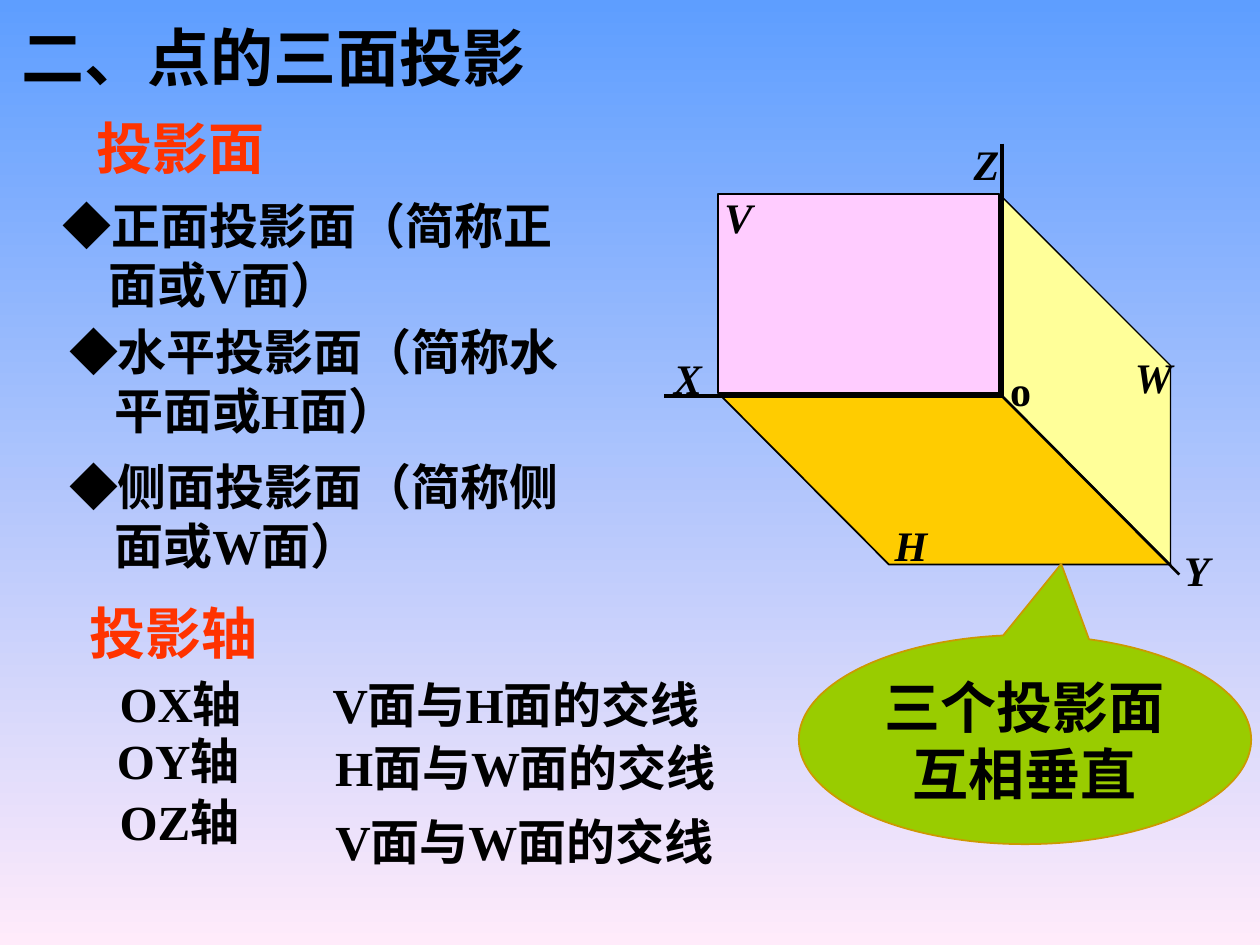
from lxml.etree import SubElement
from pptx import Presentation
from pptx.dml.color import RGBColor
from pptx.enum.shapes import MSO_CONNECTOR, MSO_SHAPE
from pptx.enum.text import MSO_ANCHOR, MSO_AUTO_SIZE, PP_ALIGN
from pptx.oxml.ns import qn
from pptx.util import Inches, Pt

FONT = "Times New Roman"
BLACK, RED = "000000", "FF3300"
LEFT, CENTER = PP_ALIGN.LEFT, PP_ALIGN.CENTER

TITLE = ("二、点的三面投影", (0.07, 0.1, 6.19, 0.7))
HEADINGS = [("投影面", (0.67, 0.85, 2.57, 0.64)),
            ("投影轴", (0.61, 4.7, 1.53, 0.64))]
PLANES = [(("◆正面投影面（简称正", "面或V面）"), (0.4, 1.5)),
          (("◆水平投影面（简称水", "平面或H面）"), (0.45, 2.5)),
          (("◆侧面投影面（简称侧", "面或W面）"), (0.45, 3.57))]
HANG = 0.36
AXES = [("OX轴", (0.85, 5.29)), ("OY轴", (0.83, 5.75)), ("OZ轴", (0.85, 6.23))]
MEETINGS = [("V面与H面的交线", (2.4, 5.3, 3.39)),
            ("H面与W面的交线", (2.42, 5.8, 3.5)),
            ("V面与W面的交线", (2.42, 6.39, 3.48))]
CALLOUT = ("三个投影面互相垂直", (6.34, 5.04, 3.59, 1.66))

# Planes of the diagram: origin, plane width and height, oblique depth
OX, OY = 7.93, 3.12
WIDTH, HEIGHT, DEPTH = 2.23, 1.58, 1.36
AXIS_LINES = [((7.95, 3.14), (5.27, 3.14), 2.25),
              ((7.95, 1.14), (7.95, 3.14), 2.25),
              ((OX, OY), (9.36, 4.56), 1.5)]
LABELS = [("H", (7, 4.07, 0.46)), ("W", (8.91, 2.74, 0.49)),
          ("V", (5.65, 1.47, 0.42)), ("o", (7.92, 2.84, 0.36)),
          ("X", (5.25, 2.75, 0.42)), ("Z", (7.63, 1.05, 0.4)),
          ("Y", (9.3, 4.27, 0.4))]


def rgb(value):
    return RGBColor.from_string(value)


def inches(values):
    return [Inches(v) for v in values]


def style(sp, fill, line, width):
    sp.shadow.inherit = False
    sp.fill.solid()
    sp.fill.fore_color.rgb = rgb(fill)
    sp.line.color.rgb = rgb(line)
    sp.line.width = Pt(width)
    return sp


def write(sp, lines, size, color=BLACK, align=LEFT, italic=False, wrap=True):
    """Fill one paragraph; its lines are parted by line breaks."""
    tf = sp.text_frame
    tf.auto_size = MSO_AUTO_SIZE.NONE
    tf.word_wrap = wrap
    tf.vertical_anchor = MSO_ANCHOR.MIDDLE
    p = tf.paragraphs[0]
    p.alignment = align
    for i, line in enumerate(lines):
        if i:
            p.add_line_break()
        r = p.add_run()
        r.text = line
        r.font.name = FONT
        r.font.size = Pt(size)
        r.font.bold = True
        r.font.italic = italic
        r.font.color.rgb = rgb(color)
    return p


def add_text(s, lines, box, size, **kw):
    return write(s.shapes.add_textbox(*inches(box)), lines, size, **kw)


def hang_indent(p, hang):
    pPr = p._p.get_or_add_pPr()
    pPr.set("marL", str(Inches(hang)))
    pPr.set("indent", str(-Inches(hang)))


def add_line(s, start, end, width):
    ln = s.shapes.add_connector(MSO_CONNECTOR.STRAIGHT, *inches(start + end))
    ln.line.color.rgb = rgb(BLACK)
    ln.line.width = Pt(width)
    SubElement(ln._element.spPr, qn("a:effectLst"))


def add_diagram(s):
    left, top = OX - WIDTH, OY - HEIGHT
    h = s.shapes.add_shape(MSO_SHAPE.PARALLELOGRAM,
                           *inches((left, OY, WIDTH + DEPTH, DEPTH)))
    h.adjustments[0] = 0.996
    h.rotation = 180
    h._element.spPr.xfrm.set("flipH", "1")
    style(h, "FFCC00", BLACK, 1)

    corners = [(OX, top), (OX, OY), (OX + DEPTH, OY + DEPTH),
               (OX + DEPTH, top + DEPTH)]
    points = [tuple(inches(c)) for c in corners]
    fb = s.shapes.build_freeform(*points[0])
    fb.add_line_segments(points[1:], close=True)
    style(fb.convert_to_shape(), "FFFF99", BLACK, 0.75)

    v = s.shapes.add_shape(MSO_SHAPE.RECTANGLE,
                           *inches((left, top, WIDTH, HEIGHT)))
    style(v, "FFCCFF", BLACK, 1)

    for start, end, width in AXIS_LINES:
        add_line(s, start, end, width)
    for name, box in LABELS:
        add_text(s, [name], box + (0.5,), 24, align=CENTER,
                 italic=name.isupper(), wrap=False)


def main():
    prs = Presentation()
    prs.slide_width, prs.slide_height = Inches(10), Inches(7.5)
    s = prs.slides.add_slide(prs.slide_layouts[5])

    bg = s.background.fill
    bg.gradient()
    bg.gradient_angle = 270
    for stop, color, pos in zip(bg.gradient_stops, ("5E9EFF", "FFEBFA"), (0, 1)):
        stop.color.rgb = rgb(color)
        stop.position = pos

    text, box = TITLE
    title = s.shapes.title
    title.left, title.top, title.width, title.height = inches(box)
    write(title, [text], 36)

    for text, box in HEADINGS:
        add_text(s, [text], box, 32, color=RED, wrap=False)
    for lines, pos in PLANES:
        hang_indent(add_text(s, lines, pos + (4.8, 1.04), 28), HANG)
    for text, pos in AXES:
        add_text(s, [text], pos + (1.49, 0.57), 28)
    for text, box in MEETINGS:
        add_text(s, [text], box + (0.57,), 28, align=CENTER, wrap=False)

    add_diagram(s)

    text, box = CALLOUT
    callout = s.shapes.add_shape(MSO_SHAPE.OVAL_CALLOUT, *inches(box))
    callout.adjustments[0], callout.adjustments[1] = 0.08, -0.84
    style(callout, "99CC00", "CC9900", 1)
    write(callout, [text], 32, align=CENTER)

    prs.save("out.pptx")


if __name__ == "__main__":
    main()
